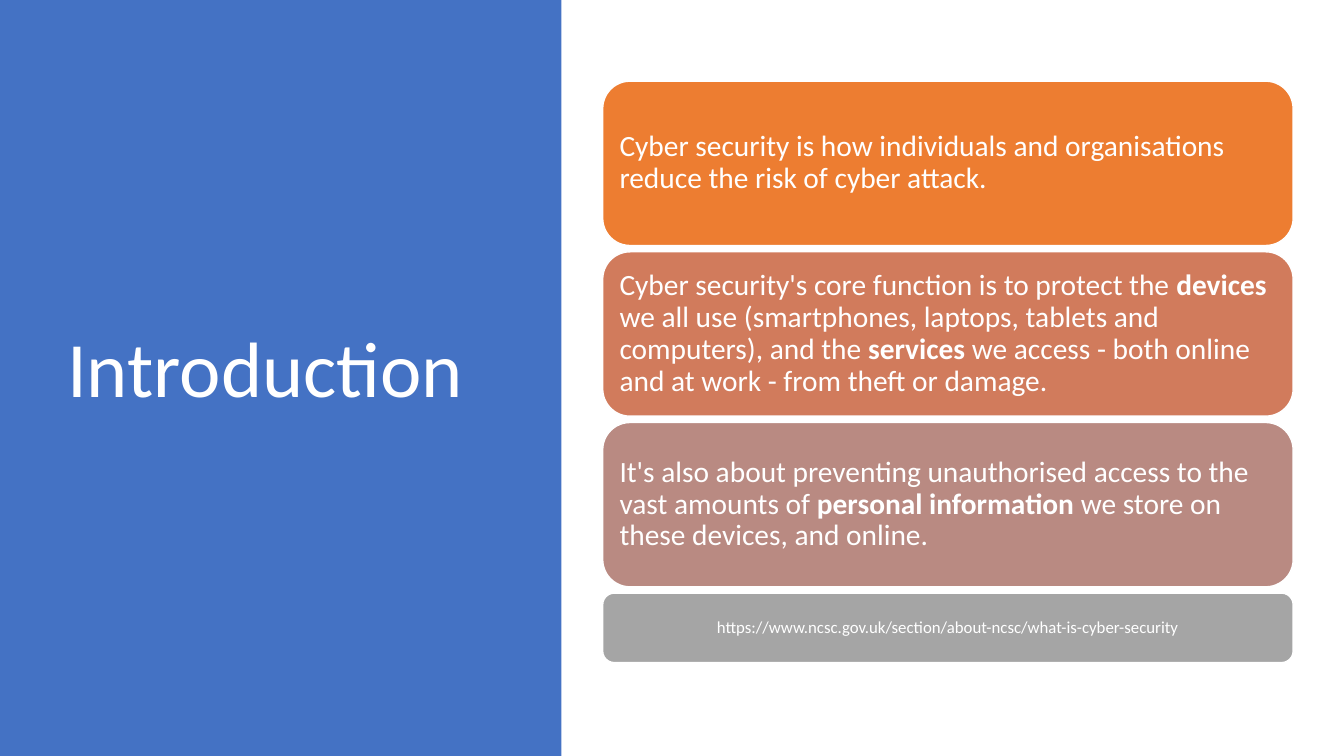
"""Build the introduction slide on cyber security."""
from pptx import Presentation
from pptx.dml.color import RGBColor
from pptx.enum.shapes import MSO_SHAPE
from pptx.enum.text import MSO_ANCHOR, PP_ALIGN
from pptx.util import Pt

RECTANGLE = MSO_SHAPE.RECTANGLE
ROUNDED = MSO_SHAPE.ROUNDED_RECTANGLE
MIDDLE = MSO_ANCHOR.MIDDLE
LEFT, CENTER = PP_ALIGN.LEFT, PP_ALIGN.CENTER

FONT = "Calibri"
COLORS = {
    "panel": "4472C4",
    "definition": "ED7D31",
    "function": "D17B5C",
    "privacy": "B98A82",
    "link": "A5A5A5",
    "white": "FFFFFF",
}
SLIDE_WIDTH, SLIDE_HEIGHT = 960, 540
CARD_LEFT, CARD_TOP, CARD_WIDTH = 430.5, 58, 493.2
CARD_HEIGHT, LINK_HEIGHT, CARD_GAP = 117.4, 49.6, 4.5

STATEMENTS = [
    ("definition", [
        ("Cyber security is how individuals and organisations reduce the risk of cyber attack.", False),
    ]),
    ("function", [
        ("Cyber security's core function is to protect the ", False),
        ("devices", True),
        (" we all use (smartphones, laptops, tablets and computers), and the ", False),
        ("services", True),
        (" we access - both online and at work - from theft or damage.", False),
    ]),
    ("privacy", [
        ("It's also about preventing unauthorised access to the vast amounts of ", False),
        ("personal information", True),
        (" we store on these devices, and online.", False),
    ]),
]
LINK = [("https://www.ncsc.gov.uk/section/about-ncsc/what-is-cyber-security", False)]


def rgb(name):
    """Return the named colour."""
    return RGBColor.from_string(COLORS[name])


def add_block(slide, preset, box, color):
    """Add a filled shape without line or shadow."""
    block = slide.shapes.add_shape(preset, *map(Pt, box))
    block.shadow.inherit = False
    block.fill.solid()
    block.fill.fore_color.rgb = rgb(color)
    block.line.fill.background()
    return block


def write(frame, pieces, size, inset, align=LEFT):
    """Write one paragraph of plain and bold pieces."""
    frame.word_wrap = True
    frame.vertical_anchor = MIDDLE
    frame.margin_left = frame.margin_right = Pt(inset)
    frame.margin_top = frame.margin_bottom = Pt(inset)
    paragraph = frame.paragraphs[0]
    paragraph.alignment = align
    paragraph.line_spacing = 0.9
    paragraph.font.name = FONT
    paragraph.font.size = Pt(size)
    paragraph.font.color.rgb = rgb("white")
    for wording, bold in pieces:
        run = paragraph.add_run()
        run.text = wording
        if bold:
            run.font.bold = True


def add_title(slide, title, box):
    """Add the slide title in white."""
    heading = slide.shapes.add_textbox(*map(Pt, box))
    write(heading.text_frame, [(title, False)], 56, 7.2)


def add_card(slide, top, height, color, pieces, size, inset, align=LEFT):
    """Add a rounded card with a white outline and its text."""
    card = add_block(slide, ROUNDED, (CARD_LEFT, top, CARD_WIDTH, height), color)
    card.line.color.rgb = rgb("white")
    card.line.width = Pt(1)
    write(card.text_frame, pieces, size, inset, align)


def main():
    """Build and save the slide."""
    deck = Presentation()
    deck.slide_width, deck.slide_height = Pt(SLIDE_WIDTH), Pt(SLIDE_HEIGHT)
    slide = deck.slides.add_slide(deck.slide_layouts[6])

    add_block(slide, RECTANGLE, (0, 0, 401, SLIDE_HEIGHT), "panel")
    add_title(slide, "Introduction", (41, 49, 299.5, 433.5))

    top = CARD_TOP
    for color, pieces in STATEMENTS:
        add_card(slide, top, CARD_HEIGHT, color, pieces, 21, 6.3)
        top += CARD_HEIGHT + CARD_GAP
    add_card(slide, top, LINK_HEIGHT, "link", LINK, 12, 3.6, CENTER)

    deck.save("out.pptx")


if __name__ == "__main__":
    main()
